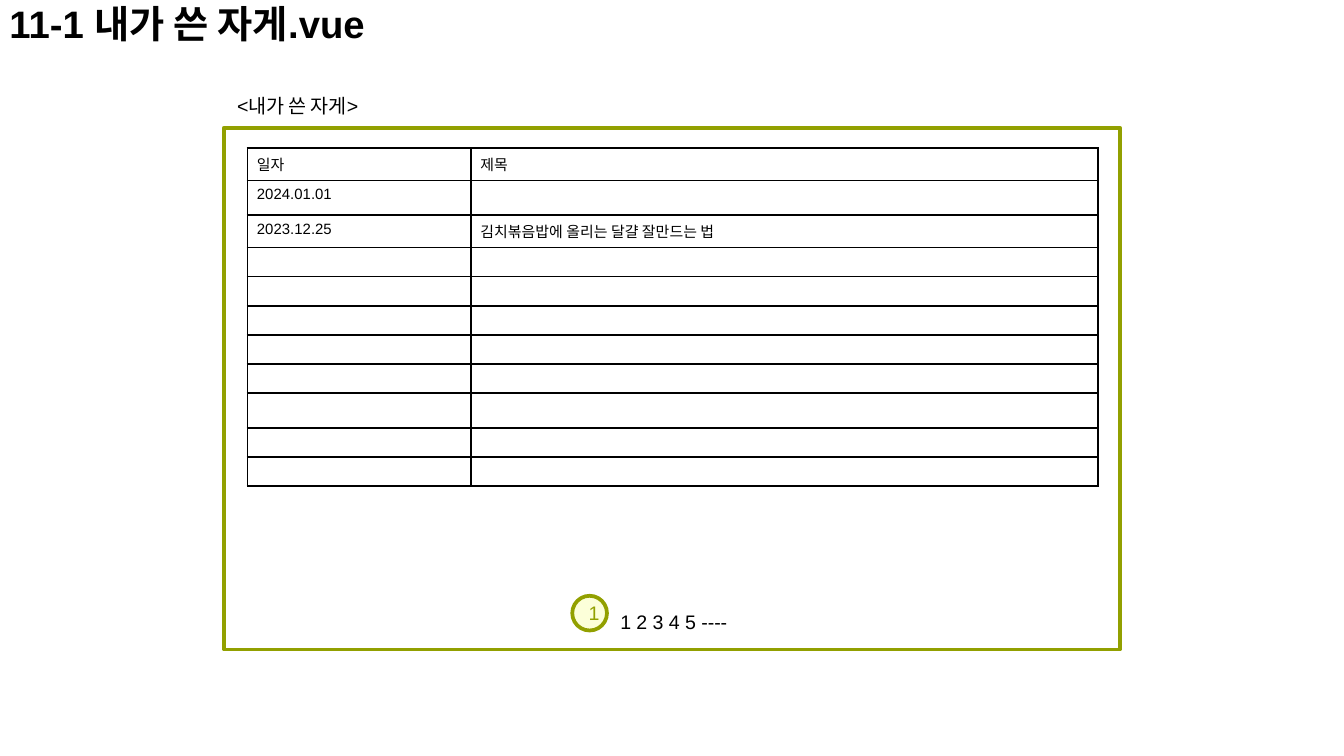
import pptx
import pptx.dml.color
import pptx.enum.shapes
import pptx.enum.text
import pptx.oxml.ns
import pptx.util
from lxml import etree

# Grid: 120 columns by 67.5 rows of square cells
COLS, ROWS = 120, 67.5
CELL = pptx.util.Inches(10) / COLS
FONT = "Arial"
COLORS = {"ink": "000000", "olive": "92A000", "cream": "FCFFD9"}
ENTRIES = [
    ("일자", "제목"),
    ("2024.01.01", ""),
    ("2023.12.25", "김치볶음밥에 올리는 달걀 잘만드는 법"),
]
TABLE_ROWS, TALL_ROWS = 11, (1, 8)


def grid(*cells):
    return [pptx.util.Emu(round(c * CELL)) for c in cells]


def rgb(name):
    return pptx.dml.color.RGBColor.from_string(COLORS[name])


def write(tf, text, size, color="ink", bold=False):
    tf.text = text
    for r in tf.paragraphs[0].runs:
        r.font.name = FONT
        r.font.size = pptx.util.Pt(size)
        r.font.bold = bold
        r.font.color.rgb = rgb(color)


def add_label(s, x, y, w, h, text, size, wrap=False, bold=False):
    tf = s.shapes.add_textbox(*grid(x, y, w, h)).text_frame
    tf.word_wrap = wrap
    write(tf, text, size, bold=bold)
    return tf


def add_outlined(s, kind, x, y, w, h, fill=None):
    sp = s.shapes.add_shape(kind, *grid(x, y, w, h))
    sp.shadow.inherit = False
    if fill:
        sp.fill.solid()
        sp.fill.fore_color.rgb = rgb(fill)
    else:
        sp.fill.background()
    sp.line.color.rgb = rgb("olive")
    sp.line.width = pptx.util.Pt(2)
    etree.SubElement(sp.line._get_or_add_ln(), pptx.oxml.ns.qn("a:round"))
    return sp


def style_cell(cell, text):
    cell.margin_left = cell.margin_right = pptx.util.Inches(0.07)
    cell.margin_top = cell.margin_bottom = pptx.util.Inches(0.04)
    qn = pptx.oxml.ns.qn
    if text:
        write(cell.text_frame, text, 8)
    else:
        # An empty cell needs its own size, or the row grows
        end = etree.SubElement(cell.text_frame.paragraphs[0]._p, qn("a:endParaRPr"))
        end.set("sz", "800")
    # Borders come before the fill in the cell properties
    tcPr = cell._tc.get_or_add_tcPr()
    for side in ("lnL", "lnR", "lnT", "lnB"):
        ln = etree.SubElement(tcPr, qn(f"a:{side}"), w=str(pptx.util.Pt(1)))
        fill = etree.SubElement(ln, qn("a:solidFill"))
        etree.SubElement(fill, qn("a:srgbClr"), val=COLORS["ink"])
    cell.fill.background()


def add_post_table(s, x, y, widths):
    heights = [3.1 if i in TALL_ROWS else 2.5 for i in range(TABLE_ROWS)]
    frame = s.shapes.add_table(TABLE_ROWS, len(widths),
                               *grid(x, y, sum(widths), sum(heights)))
    table = frame.table
    table.first_row = table.horz_banding = False
    for column, width in zip(table.columns, grid(*widths)):
        column.width = width
    for row, height in zip(table.rows, grid(*heights)):
        row.height = height
    for i in range(TABLE_ROWS):
        texts = ENTRIES[i] if i < len(ENTRIES) else ("", "")
        for j, text in enumerate(texts):
            style_cell(table.cell(i, j), text)


def add_title(s, x, y, w, h):
    tf = add_label(s, x, y, w, h, "11-1 내가 쓴 자게.vue", 20.5, wrap=True, bold=True)
    tf.margin_left = tf.margin_right = pptx.util.Inches(0.07)
    tf.margin_top = tf.margin_bottom = pptx.util.Inches(0.07)
    tf.paragraphs[0].line_spacing = 0.8


def add_post_panel(s, x, y, w, h):
    shapes = pptx.enum.shapes.MSO_SHAPE
    # List of posts, with its caption above the frame
    add_post_table(s, x + 2.1, y + 1.8, (19.95, 56))
    add_label(s, x, y - 3.6, 15, 3.36, "<내가 쓴 자게>", 10.5)
    add_outlined(s, shapes.RECTANGLE, x, y, w, h)
    # Page numbers and numbered marker
    add_label(s, x + 34.2, y + h - 4.1, 13.3, 3.36, "1 2 3 4 5 ----", 10.5)
    badge = add_outlined(s, shapes.OVAL, x + 31.1, y + h - 4.8, 3.1, 3.1, "cream")
    tf = badge.text_frame
    write(tf, "1", 10.5, "olive")
    tf.vertical_anchor = pptx.enum.text.MSO_ANCHOR.MIDDLE
    tf.paragraphs[0].alignment = pptx.enum.text.PP_ALIGN.CENTER


def main():
    prs = pptx.Presentation()
    prs.slide_width, prs.slide_height = grid(COLS, ROWS)
    s = prs.slides.add_slide(prs.slide_layouts[6])
    add_post_panel(s, 20, 11.4, 80, 46.6)
    add_title(s, 0, 0, 75.7, 5.28)
    prs.save("out.pptx")


if __name__ == "__main__":
    main()
